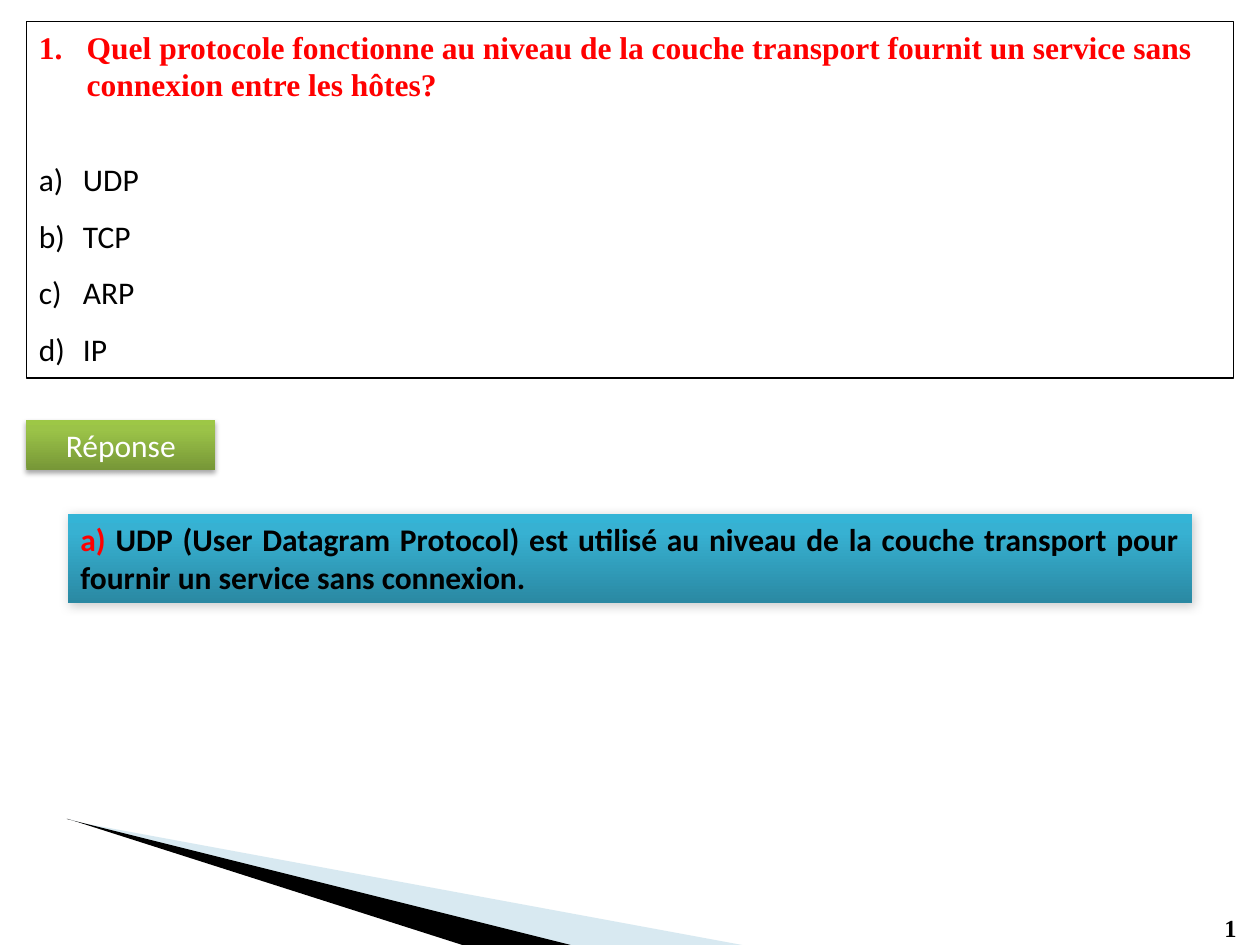
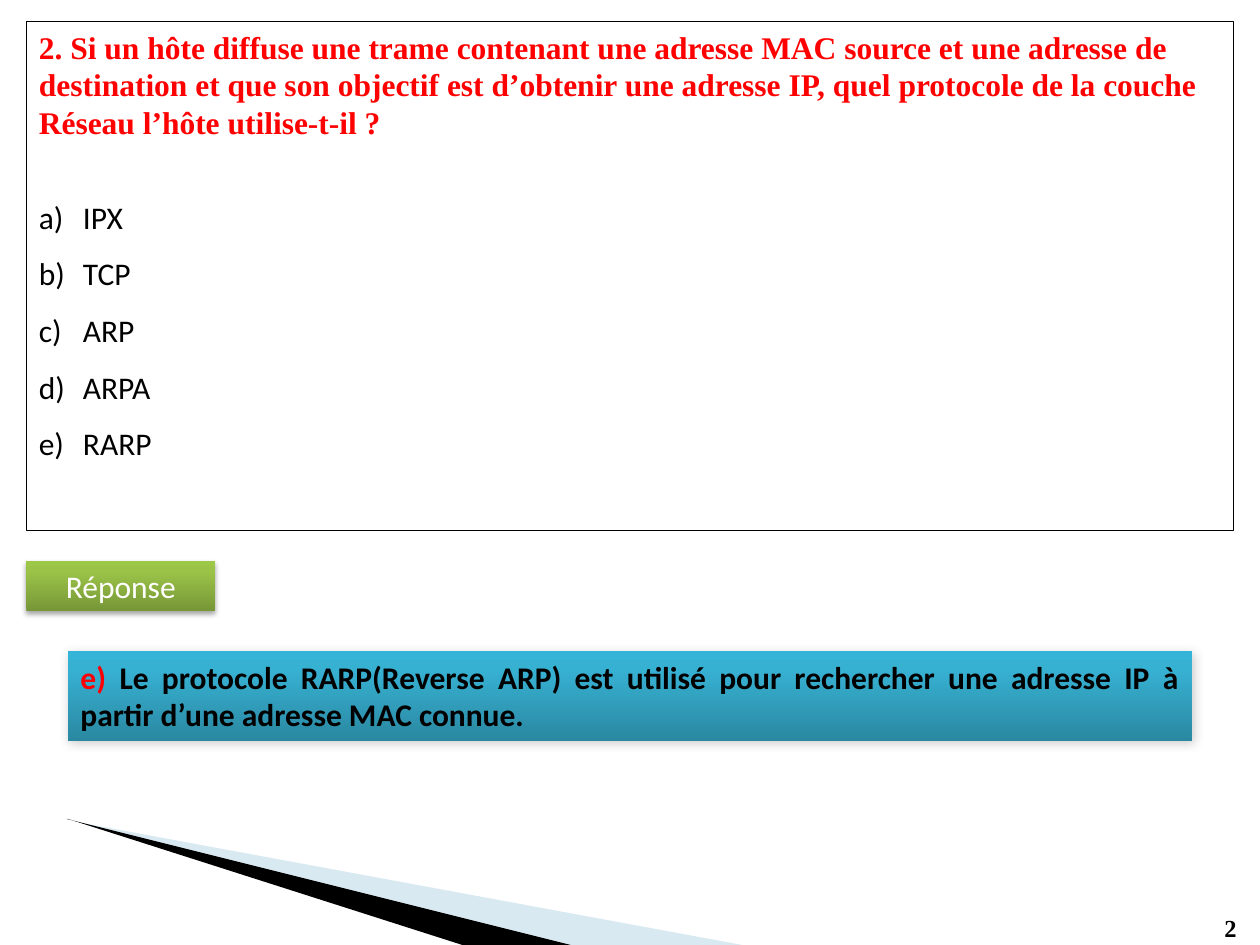
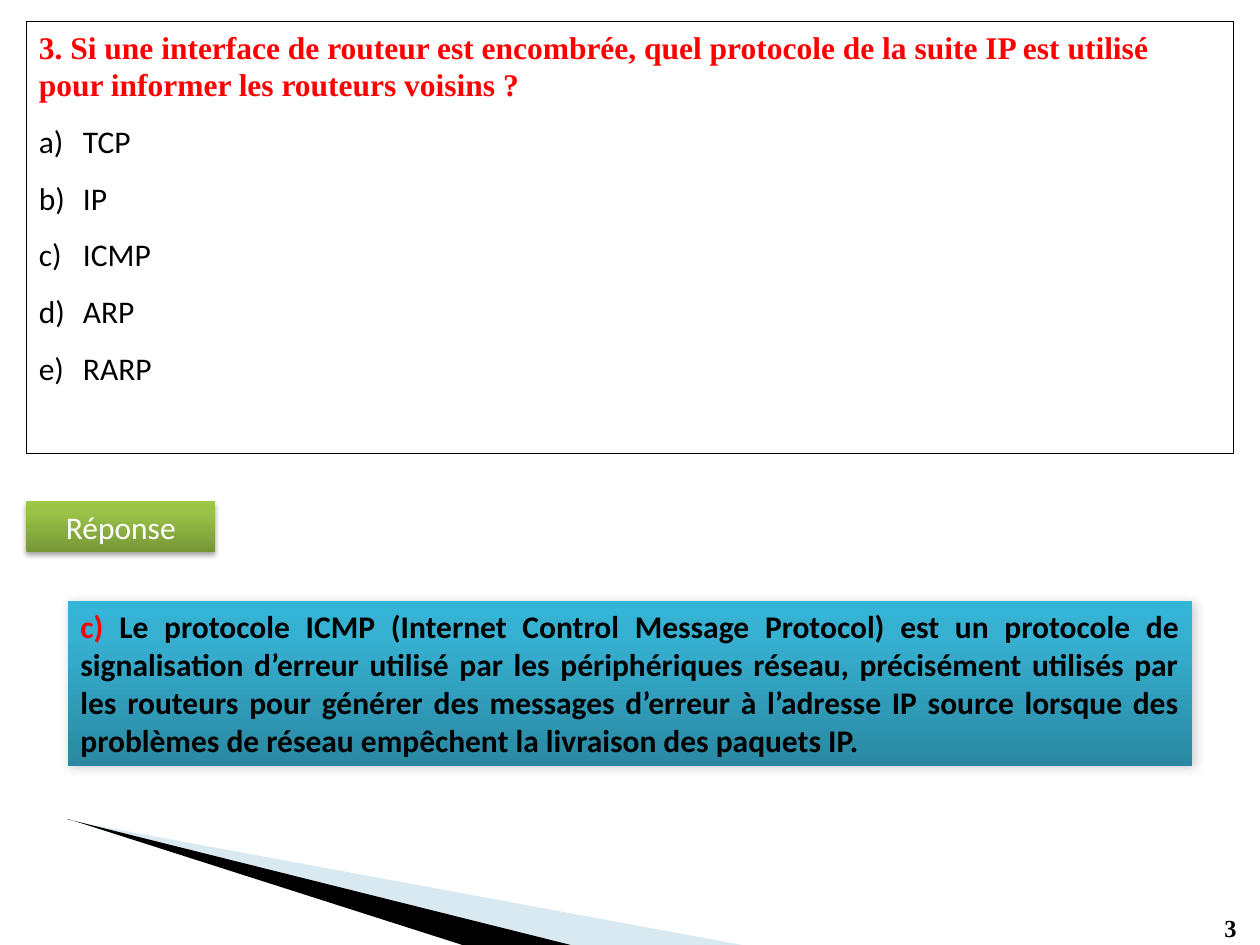
from lxml.etree import SubElement
from pptx import Presentation
from pptx.dml.color import RGBColor
from pptx.enum.shapes import MSO_SHAPE
from pptx.enum.text import MSO_ANCHOR, PP_ALIGN
from pptx.oxml.ns import qn
from pptx.util import Inches, Pt

COLORS = {"black": "000000", "white": "FFFFFF", "red": "FF0000", "pale": "9FCADC"}
GRADIENTS = {
    "green": [(0, "779737"), (80, "9BC348"), (100, "9DC746")],
    "blue": [(0, "2A88A2"), (80, "37B1D2"), (100, "34B4D6")],
}
# Opacity in percent, blur and distance in points, direction in degrees
SHADOWS = {"green": (35, 3.1, 1.8, 90), "blue": (20, 6, 1, 45)}
SERIF, SANS = "Times New Roman", "Calibri"

# Points in inches, colour, opacity in percent
BANDS = [
    ([(0.55, 6.5), (0.64, 6.53), (4.51, 7.5), (5.89, 7.5), (0.64, 6.53)], "pale", 40),
    ([(0.53, 6.5), (0.54, 6.5), (3.67, 7.5), (4.53, 7.5)], "black", 100),
]

QUIZ = [
    {
        "question": "Quel protocole fonctionne au niveau de la couche transport fournit "
                    "un service sans connexion entre les hôtes?",
        "numbered": True,
        "options": ["UDP", "TCP", "ARP", "IP"],
        "gap": 21.6,
        "box_height": 2.83,
        "label_top": 3.33,
        "answer": ("a) ", "UDP (User Datagram Protocol) est utilisé au niveau de la couche "
                          "transport pour fournir un service sans connexion."),
        "answer_top": 4.08,
        "answer_height": 0.71,
    },
    {
        "question": "2. Si un hôte diffuse une trame contenant une adresse MAC source et une "
                    "adresse de destination et que son objectif est d’obtenir une adresse IP, "
                    "quel protocole de la couche Réseau l’hôte utilise-t-il ?",
        "numbered": False,
        "options": ["IPX", "TCP", "ARP", "ARPA", "RARP"],
        "gap": 21.6,
        "box_height": 4.04,
        "label_top": 4.45,
        "answer": ("e) ", "Le protocole RARP(Reverse ARP) est utilisé pour rechercher une "
                          "adresse IP à partir d’une adresse MAC connue."),
        "answer_top": 5.17,
        "answer_height": 0.71,
    },
    {
        "question": "3. Si une interface de routeur est encombrée, quel protocole de la suite "
                    "IP est utilisé pour informer les routeurs voisins ?",
        "numbered": False,
        "options": ["TCP", "IP", "ICMP", "ARP", "RARP"],
        "gap": 0,
        "box_height": 3.43,
        "label_top": 3.98,
        "answer": ("c) ", "Le protocole ICMP (Internet Control Message Protocol) est un "
                          "protocole de signalisation d’erreur utilisé par les périphériques "
                          "réseau, précisément utilisés par les routeurs pour générer des "
                          "messages d’erreur à l’adresse IP source lorsque des problèmes de "
                          "réseau empêchent la livraison des paquets IP."),
        "answer_top": 4.77,
        "answer_height": 1.31,
    },
]


def add_text(p, text, font=SANS, size=18, color="black", bold=False, align=PP_ALIGN.LEFT):
    p.alignment = align
    r = p.add_run()
    r.text = text
    r.font.name, r.font.size, r.font.bold = font, Pt(size), bold
    r.font.color.rgb = RGBColor.from_string(COLORS[color])


def number_paragraph(p, scheme, indent):
    """Give the paragraph an automatic number with a hanging indent."""
    pPr = p._p.get_or_add_pPr()
    pPr.set("marL", str(Inches(indent)))
    pPr.set("indent", str(-Inches(indent)))
    SubElement(pPr, qn("a:buAutoNum"), type=scheme)


def add_color(parent, color, opacity=100):
    clr = SubElement(parent, qn("a:srgbClr"), val=color)
    if opacity < 100:
        SubElement(clr, qn("a:alpha"), val=str(opacity * 1000))


def add_box(s, left, top, width, height):
    sp = s.shapes.add_shape(MSO_SHAPE.RECTANGLE, Inches(left), Inches(top),
                            Inches(width), Inches(height))
    sp.shadow.inherit = False
    sp.text_frame.word_wrap = True
    sp.text_frame.vertical_anchor = MSO_ANCHOR.TOP
    return sp


def add_glossy_box(s, style, *place):
    """Add a borderless box with a vertical gradient and an outer shadow."""
    sp = add_box(s, *place)
    sp.line.fill.background()
    sp.fill.gradient()
    sp.fill.gradient_angle = 90
    spPr = sp._element.spPr
    stops = spPr.find(".//" + qn("a:gsLst"))
    for stop in list(stops):
        stops.remove(stop)
    for position, color in GRADIENTS[style]:
        add_color(SubElement(stops, qn("a:gs"), pos=str(position * 1000)), color)
    opacity, blur, distance, direction = SHADOWS[style]
    shadow = SubElement(spPr.find(qn("a:effectLst")), qn("a:outerShdw"),
                        blurRad=str(Pt(blur)), dist=str(Pt(distance)),
                        dir=str(direction * 60000), rotWithShape="0")
    add_color(shadow, COLORS["black"], opacity)
    return sp


def add_bands(s):
    for points, color, opacity in BANDS:
        corners = [(Inches(x), Inches(y)) for x, y in points]
        builder = s.shapes.build_freeform(*corners[0])
        builder.add_line_segments(corners[1:], close=True)
        sp = builder.convert_to_shape()
        sp.shadow.inherit = False
        sp.line.fill.background()
        sp.fill.solid()
        sp.fill.fore_color.rgb = RGBColor.from_string(COLORS[color])
        if opacity < 100:
            clr = sp._element.spPr.find(qn("a:solidFill")).find(qn("a:srgbClr"))
            SubElement(clr, qn("a:alpha"), val=str(opacity * 1000))


def add_page_number(s, number):
    sp = s.shapes.add_textbox(Inches(9.62), Inches(7.2), Inches(0.36), Inches(0.34))
    sp.text_frame.word_wrap = True
    add_text(sp.text_frame.paragraphs[0], str(number), font=SERIF, size=14, bold=True)


def add_question(s, item):
    sp = add_box(s, 0.21, 0.17, 9.58, item["box_height"])
    sp.fill.background()
    sp.line.color.rgb = RGBColor.from_string(COLORS["black"])
    sp.line.width = Pt(0.75)
    tf = sp.text_frame
    tf.margin_right = Inches(0.15)
    add_text(tf.paragraphs[0], item["question"], font=SERIF, color="red", bold=True)
    if item["numbered"]:
        number_paragraph(tf.paragraphs[0], "arabicPeriod", 0.38)
    for i, option in enumerate(item["options"]):
        p = tf.add_paragraph()
        p.line_spacing = 1.5
        p.space_before = Pt(0 if i else item["gap"])
        add_text(p, option)
        number_paragraph(p, "alphaLcParenR", 0.35)


def add_answer(s, item):
    label = add_glossy_box(s, "green", 0.21, item["label_top"], 1.5, 0.4)
    add_text(label.text_frame.paragraphs[0], "Réponse", color="white", align=PP_ALIGN.CENTER)
    sp = add_glossy_box(s, "blue", 0.54, item["answer_top"], 8.92, item["answer_height"])
    for text, color in zip(item["answer"], ("red", "black")):
        add_text(sp.text_frame.paragraphs[0], text, color=color, bold=True,
                 align=PP_ALIGN.JUSTIFY)


def main():
    prs = Presentation()
    prs.slide_width, prs.slide_height = Inches(10), Inches(7.5)
    for number, item in enumerate(QUIZ, 1):
        s = prs.slides.add_slide(prs.slide_layouts[6])
        add_bands(s)
        add_page_number(s, number)
        add_question(s, item)
        add_answer(s, item)
    prs.save("out.pptx")


if __name__ == "__main__":
    main()
